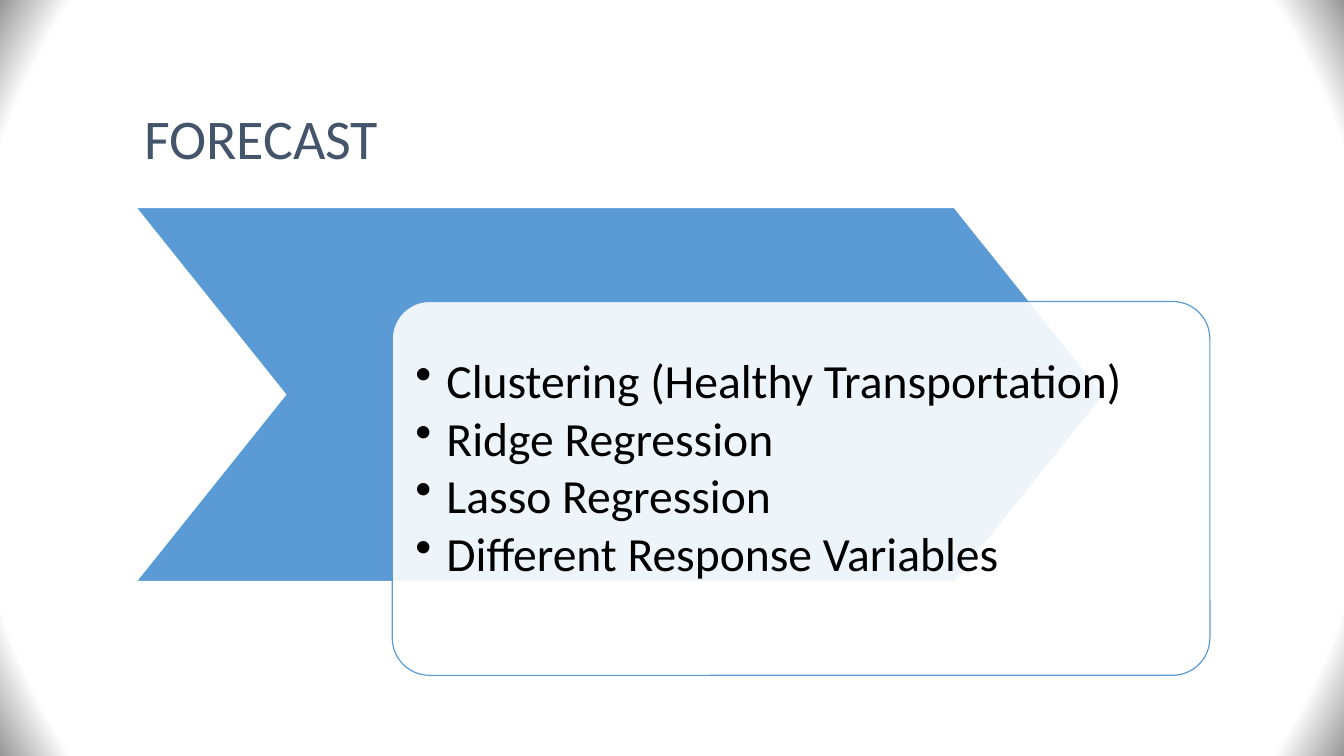
"""Build the forecast slide: a chevron overlapped by a card of bulleted methods."""
from dataclasses import dataclass
from typing import Optional

from lxml.etree import SubElement
from pptx import Presentation
from pptx.dml.color import RGBColor
from pptx.enum.shapes import MSO_SHAPE
from pptx.enum.text import MSO_ANCHOR, PP_ALIGN
from pptx.oxml.ns import qn
from pptx.shapes.autoshape import Shape
from pptx.slide import Slide
from pptx.text.text import _Paragraph as Paragraph
from pptx.util import Inches, Pt

WHITE = RGBColor(0xFF, 0xFF, 0xFF)
GREY = RGBColor(0x97, 0x97, 0x97)
BLUE = RGBColor(0x5B, 0x9B, 0xD5)
SLATE = RGBColor(0x44, 0x54, 0x6A)
BLACK = RGBColor(0, 0, 0)
FONT = "Calibri"
METHODS = [
    "Clustering (Healthy Transportation)",
    "Ridge Regression",
    "Lasso Regression",
    "Different Response Variables",
]


@dataclass(frozen=True)
class Panel:
    preset: MSO_SHAPE
    left: float
    top: float
    width: float
    adjustment: float
    fill: RGBColor
    line: RGBColor
    opacity: Optional[int] = None
    height: float = 3.71


CHEVRON = Panel(MSO_SHAPE.CHEVRON, 1.35, 2.06, 9.6, 0.4, BLUE, WHITE)
CARD = Panel(MSO_SHAPE.ROUNDED_RECTANGLE, 3.89, 2.99, 8.11, 0.1, WHITE, BLUE, 90)


def set_vignette(slide: Slide) -> None:
    fill = slide.background.fill
    fill.gradient()
    for stop, color, position in zip(fill.gradient_stops, (WHITE, GREY), (0.92, 1)):
        stop.color.rgb = color
        stop.position = position
    grad = slide.element.find(".//" + qn("a:gradFill"))
    grad.remove(grad.find(qn("a:lin")))
    circle = SubElement(grad, qn("a:path"), path="circle")
    SubElement(circle, qn("a:fillToRect"), dict.fromkeys("ltrb", "50000"))


def add_panel(slide: Slide, panel: Panel) -> Shape:
    box = (panel.left, panel.top, panel.width, panel.height)
    sp = slide.shapes.add_shape(panel.preset, *map(Inches, box))
    sp.adjustments[0] = panel.adjustment
    sp.shadow.inherit = False
    sp.fill.solid()
    sp.fill.fore_color.rgb = panel.fill
    if panel.opacity is not None:
        color = sp.fill._xPr.find(".//" + qn("a:srgbClr"))
        SubElement(color, qn("a:alpha"), val=str(panel.opacity * 1000))
    sp.line.color.rgb = panel.line
    sp.line.width = Pt(0.85)
    return sp


def format_text(p: Paragraph, size: int, color: RGBColor) -> None:
    p.alignment = PP_ALIGN.LEFT
    p.line_spacing = 0.9
    for r in p.runs:
        r.font.name = FONT
        r.font.size = Pt(size)
        r.font.color.rgb = color


def add_bullet(p: Paragraph) -> None:
    props = p._p.get_or_add_pPr()
    indent = Inches(0.31)
    props.set("marL", str(indent))
    props.set("indent", str(-indent))
    SubElement(props, qn("a:buChar"), char="•")


def fill_card(sp: Shape) -> None:
    tf = sp.text_frame
    tf.word_wrap = True
    tf.vertical_anchor = MSO_ANCHOR.TOP
    tf.margin_left = tf.margin_right = tf.margin_bottom = Inches(0.12)
    tf.margin_top = Inches(0.45)
    tf.text = "\n".join(METHODS)
    for p in tf.paragraphs:
        format_text(p, 34, BLACK)
        p.space_after = Pt(4.3)
        add_bullet(p)


def add_title(slide: Slide, text: str) -> None:
    title = slide.shapes.title
    title.left, title.top = Inches(1.33), Inches(0.3)
    title.width, title.height = Inches(10.67), Inches(1.45)
    tf = title.text_frame
    tf.text = text
    tf.vertical_anchor = MSO_ANCHOR.BOTTOM
    format_text(tf.paragraphs[0], 40, SLATE)


prs = Presentation()
prs.slide_width, prs.slide_height = Inches(13.33), Inches(7.5)
s = prs.slides.add_slide(prs.slide_layouts[5])
set_vignette(s)
add_title(s, "FORECAST")
add_panel(s, CHEVRON)
fill_card(add_panel(s, CARD))
prs.save("out.pptx")
